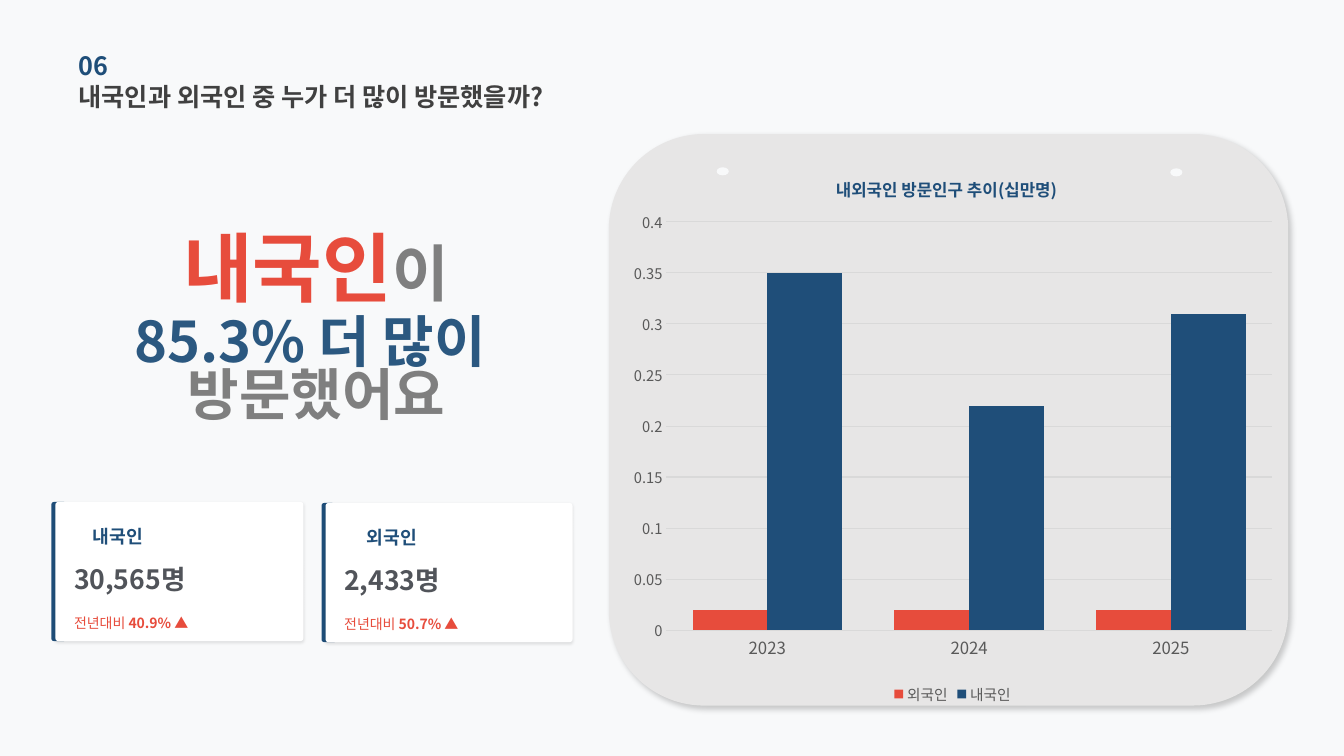
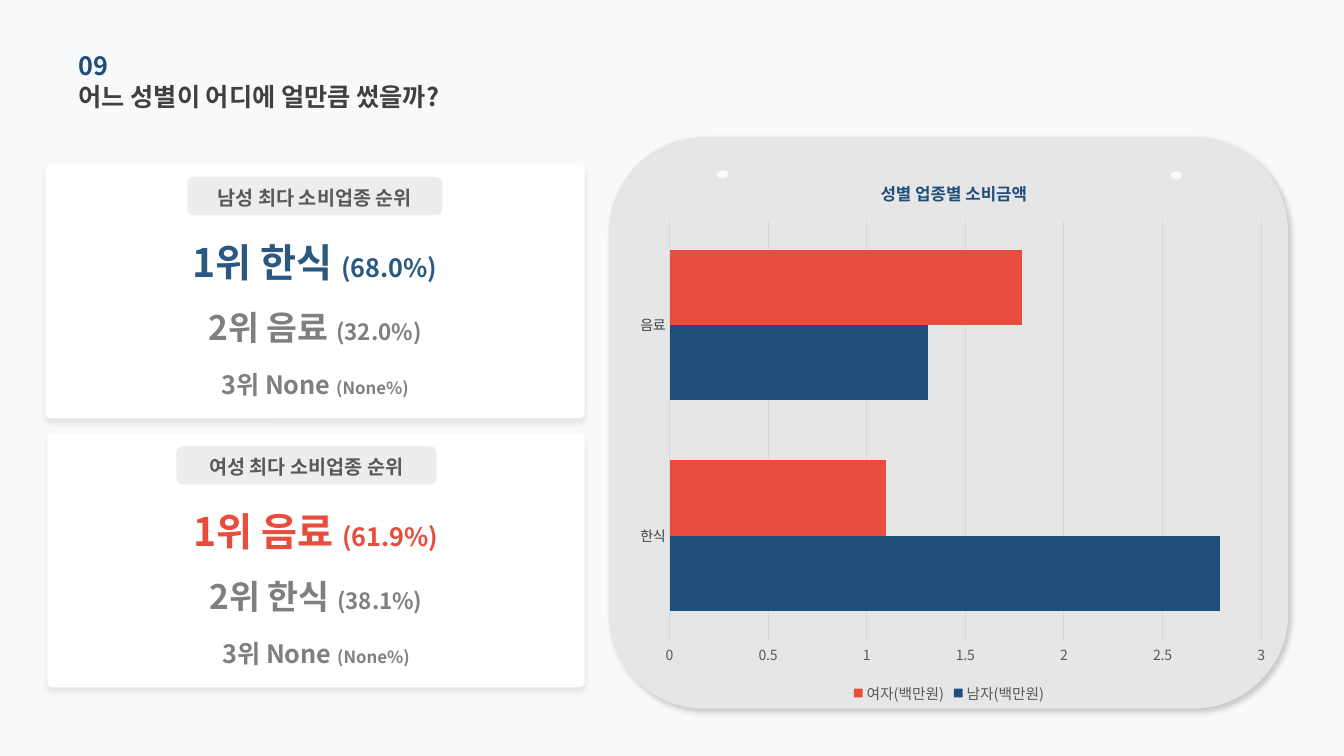
from collections import namedtuple

from lxml import etree
from pptx import Presentation
from pptx import util as u
from pptx.chart.data import CategoryChartData
from pptx.dml.color import RGBColor
from pptx.enum import chart as charts, shapes, text
from pptx.oxml.ns import qn

FONT = "Noto Sans CJK KR"
COLORS = {
    "background": "F8F9FA", "navy": "1F4E79", "blue": "2B5880", "red": "E74C3C",
    "dark": "404040", "slate": "51545A", "label": "595959", "gray": "7F7F7F",
    "panel": "E7E6E6", "pill": "D0CECE", "white": "FFFFFF", "grid": "D9D9D9",
}
COLUMNS, ROWS = 133.33, 75
CELL = u.Inches(0.1)
CENTER = text.PP_ALIGN.CENTER
Box = namedtuple("Box", "left top width height")
Shadow = namedtuple("Shadow", "opacity blur distance angle")
PANEL_SHADOW = Shadow(20, 4, 3, 45)
CARD_SHADOW = Shadow(10, 2, 1, 90)
RANKING_SHADOW = Shadow(8, 4, 3, 90)


def inside(box, left, top, width, height):
    return Box(box.left + left, box.top + top, width, height)


def emu(box):
    return [round(cells * CELL) for cells in box]


def color(name):
    return RGBColor.from_string(COLORS[name])


def set_font(font, size, color_name, bold=False):
    font.name = FONT
    font.size = u.Pt(size)
    font.bold = bold
    font.color.rgb = color(color_name)


def add_asian_font(element):
    for latin in list(element.iter(qn("a:latin"))):
        asian = etree.Element(qn("a:ea"), typeface=FONT)
        latin.addnext(asian)


def fill_text(frame, *lines, align=text.PP_ALIGN.LEFT, spacing=None):
    frame.word_wrap = True
    frame.auto_size = text.MSO_AUTO_SIZE.NONE
    frame.vertical_anchor = text.MSO_ANCHOR.MIDDLE
    frame.margin_left = frame.margin_right = frame.margin_top = frame.margin_bottom = 0
    for index, runs in enumerate(lines):
        paragraph = frame.add_paragraph() if index else frame.paragraphs[0]
        paragraph.alignment = align
        paragraph.line_spacing = spacing
        for words, size, color_name, bold in runs:
            run = paragraph.add_run()
            run.text = words
            set_font(run.font, size, color_name, bold)


def add_text(container, box, *lines, **style):
    textbox = container.add_textbox(*emu(box))
    fill_text(textbox.text_frame, *lines, **style)


def add_shadow(shape, shadow):
    effects = shape.element.spPr.find(qn("a:effectLst"))
    outer = etree.SubElement(
        effects, qn("a:outerShdw"), blurRad=str(u.Pt(shadow.blur)),
        dist=str(u.Pt(shadow.distance)), dir=str(shadow.angle * 60000),
        algn="ctr", rotWithShape="0")
    black = etree.SubElement(outer, qn("a:srgbClr"), val="000000")
    etree.SubElement(black, qn("a:alpha"), val=str(shadow.opacity * 1000))


def add_shape(container, box, color_name, kind=shapes.MSO_SHAPE.ROUNDED_RECTANGLE,
              corner=None, opacity=None, shadow=None):
    shape = container.add_shape(kind, *emu(box))
    shape.shadow.inherit = False
    shape.fill.solid()
    shape.fill.fore_color.rgb = color(color_name)
    shape.line.fill.background()
    if corner is not None:
        shape.adjustments[0] = corner
    if opacity is not None:
        fill_color = shape.element.spPr.find(qn("a:solidFill"))[0]
        etree.SubElement(fill_color, qn("a:alpha"), val=str(opacity * 1000))
    if shadow:
        add_shadow(shape, shadow)


def add_header(slide, number, question):
    header = Box(7.8, 4.4, 52.8, 4.1)
    title = slide.shapes.title
    title.left, title.top, title.width, title.height = emu(inside(header, 0, 3.1, 52.8, 4.1))
    fill_text(title.text_frame, [(question, 18, "dark", True)])
    add_text(slide.shapes, header, [(number, 18, "navy", True)])


def add_chart_panel(slide, top):
    panel = Box(60.4, top, 67.4, 56.7)
    add_shape(slide.shapes, panel, "panel", shadow=PANEL_SHADOW)
    for left, offset in ((10.7, 3.3), (55.7, 3.4)):
        add_shape(slide.shapes, inside(panel, left, offset, 1.2, 0.8), "background",
                  kind=shapes.MSO_SHAPE.OVAL)


def set_layout(parent, index, **shares):
    layout = parent.find(qn("c:layout"))
    if layout is None:
        layout = etree.Element(qn("c:layout"))
        parent.insert(index, layout)
    manual = etree.SubElement(layout, qn("c:manualLayout"))
    if "w" in shares:
        etree.SubElement(manual, qn("c:layoutTarget"), val="inner")
    for side in ("x", "y"):
        etree.SubElement(manual, qn(f"c:{side}Mode"), val="edge")
    for side, share in shares.items():
        etree.SubElement(manual, qn(f"c:{side}"), val=str(share))


def add_bar_chart(slide, box, kind, title, categories, series_list, gap, scale,
                  category_style, value_size, title_left, plot):
    data = CategoryChartData()
    data.categories = categories
    for name, values, _ in series_list:
        data.add_series(name, values)
    chart = slide.shapes.add_chart(kind, *emu(box), data).chart
    chart.font.size = u.Pt(10)
    chart.font.name = "Calibri"

    chart.has_title = True
    paragraph = chart.chart_title.text_frame.paragraphs[0]
    run = paragraph.add_run()
    run.text = title
    set_font(run.font, 12, "navy", True)
    chart.has_legend = True
    chart.legend.position = charts.XL_LEGEND_POSITION.BOTTOM
    chart.legend.include_in_layout = False
    set_font(chart.legend.font, 10.5, "label")

    bars = chart.plots[0]
    bars.gap_width = gap
    bars.vary_by_categories = False
    for series, (_, _, color_name) in zip(bars.series, series_list):
        series.invert_if_negative = False
        series.format.fill.solid()
        series.format.fill.fore_color.rgb = color(color_name)

    category_axis, value_axis = chart.category_axis, chart.value_axis
    for axis in (category_axis, value_axis):
        axis.major_tick_mark = axis.minor_tick_mark = charts.XL_TICK_MARK.NONE
    set_font(category_axis.tick_labels.font, *category_style)
    set_font(value_axis.tick_labels.font, value_size, "label")
    value_axis.format.line.fill.background()
    value_axis.minimum_scale = 0
    value_axis.maximum_scale, value_axis.major_unit = scale
    value_axis.has_major_gridlines = True
    for line in (category_axis.format.line, value_axis.major_gridlines.format.line):
        line.color.rgb = color("grid")
        line.width = u.Pt(0.75)

    set_layout(chart.element.find(".//" + qn("c:title")), 1, x=title_left, y=0.04)
    set_layout(chart.element.find(".//" + qn("c:plotArea")), 0, **plot)
    add_asian_font(chart.element)


def add_visitor_card(slide, box, label_left, label, count, change):
    container = slide.shapes
    add_shape(container, inside(box, 0, 0, 1.5, box.height), "navy")
    add_shape(container, inside(box, 0.4, 0, box.width - 0.4, box.height), "white",
              corner=0.02, shadow=CARD_SHADOW)
    add_text(container, inside(box, label_left, 1.95, 6.5, 2.8), [(label, 13, "navy", True)])
    add_text(container, inside(box, 2.25, 5.7, 25.4, 3.9), [(count, 19, "slate", True)])
    add_text(container, inside(box, 2.25, 9.7, 25.4, 4.5),
             [("전년대비 ", 10, "red", False), (change, 10, "red", True)])


def add_ranking(slide, box, pill_left, pill_width, heading, ranks, winner_color):
    container = slide.shapes.add_group_shape().shapes
    add_shape(container, box, "white", corner=0.02, shadow=RANKING_SHADOW)
    sizes = ((28, 18, winner_color), (24, 16, "gray"), (18, 12, "gray"))
    for (name, share), (size, share_size, color_name), middle in zip(
            ranks, sizes, (9.7, 16.1, 21.8)):
        add_text(container, inside(box, 0, middle - 4.2, box.width, 8.4),
                 [(name, size, color_name, True), (share, share_size, color_name, True)],
                 align=CENTER)
    add_shape(container, inside(box, pill_left, 1.25, pill_width, 3.8), "pill", opacity=36)
    add_text(container, inside(box, pill_left + 1, 1.25, pill_width - 2, 4.1),
             [(heading, 14, "label", True)], align=CENTER)


def build_visitors(slide):
    add_chart_panel(slide, 13.3)
    add_header(slide, "06", "내국인과 외국인 중 누가 더 많이 방문했을까?")
    add_text(slide.shapes, Box(9.9, 24, 42.9, 4.8),
             [("내국인", 54, "red", True), ("이", 44, "gray", True)], align=CENTER)
    add_text(slide.shapes, Box(3.8, 32.8, 55.2, 8.4),
             [("85.3% 더 많이 ", 40, "blue", True)], [("방문했어요", 40, "gray", True)],
             align=CENTER, spacing=0.8)
    add_visitor_card(slide, Box(5.1, 49.8, 25, 13.8), 4.1, "내국인", "30,565명", "40.9% ▲")
    add_visitor_card(slide, Box(31.9, 49.9, 24.9, 13.8), 4.5, "외국인", "2,433명", "50.7% ▲")
    add_bar_chart(
        slide, Box(61.5, 14.8, 66, 55.5), charts.XL_CHART_TYPE.COLUMN_CLUSTERED,
        "내외국인 방문인구 추이(십만명)", ["2023", "2024", "2025"],
        [("외국인", (0.02, 0.02, 0.02), "red"), ("내국인", (0.35, 0.22, 0.31), "navy")],
        gap=70, scale=(0.4, 0.05), category_style=(12, "label"), value_size=10.5,
        title_left=0.32, plot=dict(x=0.07, y=0.13, w=0.91, h=0.73))


def build_spending(slide):
    add_chart_panel(slide, 13.6)
    add_header(slide, "09", "어느 성별이 어디에 얼만큼 썼을까?")
    add_ranking(slide, Box(4.5, 16.3, 53.5, 25.2), 14.1, 25.3, "남성 최다 소비업종 순위",
                [("1위 한식 ", "(68.0%)"), ("2위 음료 ", "(32.0%)"), ("3위 None ", "(None%)")],
                "blue")
    add_ranking(slide, Box(4.7, 43, 53.3, 25.2), 12.8, 25.8, "여성 최다 소비업종 순위",
                [("1위 음료 ", "(61.9%)"), ("2위 한식 ", "(38.1%)"), ("3위 None ", "(None%)")],
                "red")
    add_bar_chart(
        slide, Box(61.9, 15.2, 64.5, 55), charts.XL_CHART_TYPE.BAR_CLUSTERED,
        "성별 업종별 소비금액", ["한식", "음료"],
        [("남자(백만원)", (2.79, 1.31), "navy"), ("여자(백만원)", (1.1, 1.79), "red")],
        gap=80, scale=(3, 0.5), category_style=(10, "dark"), value_size=10,
        title_left=0.39, plot=dict(x=0.07, y=0.12, w=0.91, h=0.76))


def main():
    presentation = Presentation()
    presentation.slide_width = round(COLUMNS * CELL)
    presentation.slide_height = ROWS * CELL
    background = presentation.slide_master.background.fill
    background.solid()
    background.fore_color.rgb = color("background")
    for build in (build_visitors, build_spending):
        slide = presentation.slides.add_slide(presentation.slide_layouts[5])
        build(slide)
        add_asian_font(slide.element)
    presentation.save("out.pptx")


if __name__ == "__main__":
    main()
